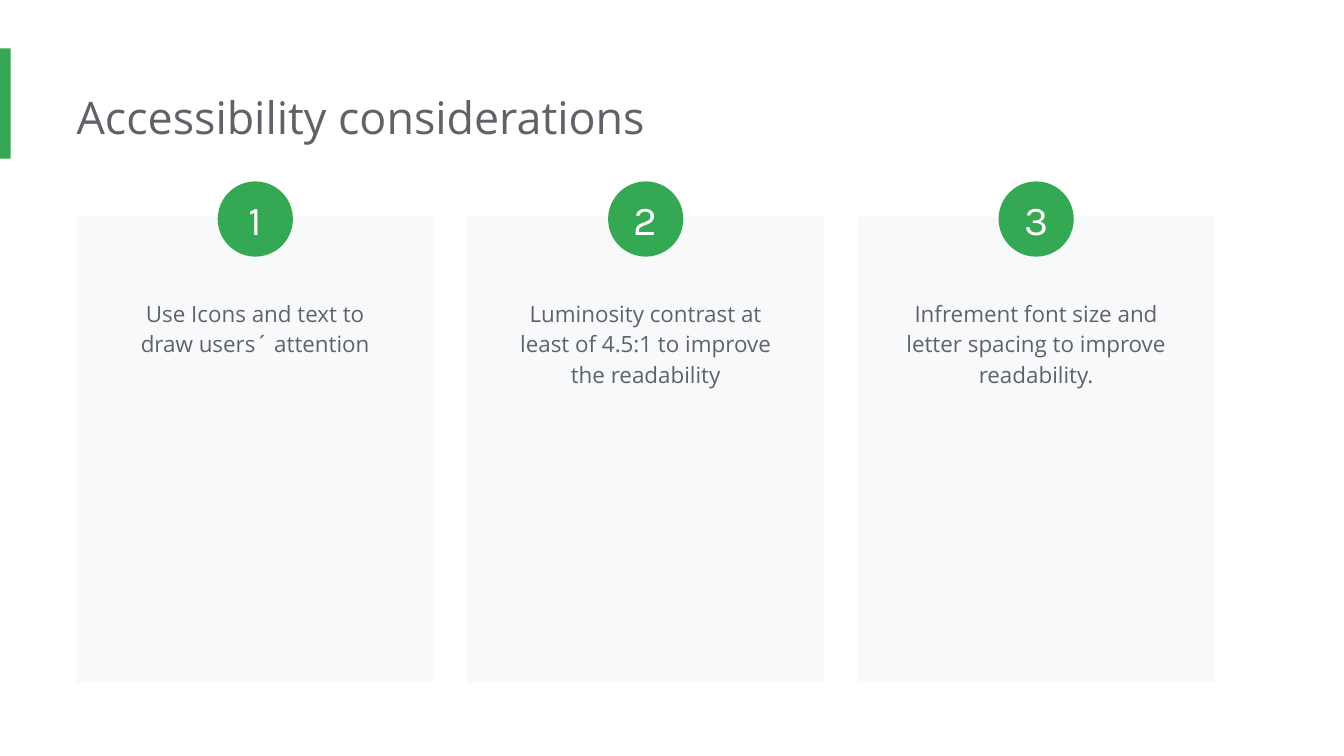
import pptx
import pptx.util
import pptx.dml.color
import pptx.enum.shapes
import pptx.enum.text

Inches = pptx.util.Inches
SHAPE = pptx.enum.shapes.MSO_SHAPE
ALIGN = pptx.enum.text.PP_ALIGN
ANCHOR = pptx.enum.text.MSO_ANCHOR
AUTO = pptx.enum.text.MSO_AUTO_SIZE

COLORS = {"accent": "34A853", "card": "F8F9FA", "text": "5F6368", "white": "FFFFFF"}

# Widescreen slide, in inches
SLIDE_W = 10
SLIDE_H = SLIDE_W * 9 / 16

# Card grid, in inches
LEFT, SPAN, CARD_W = 0.57, 8.47, 2.66
CARD_TOP, CARD_H = 1.61, 3.47
BADGE, BADGE_TOP = 0.56, 1.35
TEXT_W, TEXT_TOP, LINE_H = 2.24, 2.1, 0.23

# Card text and its number of lines
CARDS = [
    ("Use Icons and text to draw users´ attention", 2),
    ("Luminosity contrast at least of 4.5:1 to improve the readability", 3),
    ("Infrement font size and letter spacing to improve readability.", 3),
]


def rgb(name):
    return pptx.dml.color.RGBColor.from_string(COLORS[name])


def set_attrs(obj, values):
    for name, value in values.items():
        setattr(obj, name, value)


def write(sp, text, font, size, color, frame, para):
    tf = sp.text_frame
    set_attrs(tf, {"word_wrap": True, **frame})
    p = tf.paragraphs[0]
    set_attrs(p, para)
    r = p.add_run()
    r.text = text
    set_attrs(r.font, {"name": font, "size": pptx.util.Pt(size)})
    r.font.color.rgb = rgb(color)


def add_block(slide, kind, box, color):
    sp = slide.shapes.add_shape(kind, *map(Inches, box))
    sp.shadow.inherit = False
    sp.fill.solid()
    sp.fill.fore_color.rgb = rgb(color)
    sp.line.fill.background()
    return sp


def add_title(slide, text):
    sp = slide.shapes.title
    box = dict(left=LEFT, top=0.57, width=7.66, height=0.61)
    set_attrs(sp, {name: Inches(value) for name, value in box.items()})
    frame = {"margin_left": 0, "margin_right": Inches(0.1),
             "margin_top": Inches(0.1), "margin_bottom": Inches(0.1),
             "vertical_anchor": ANCHOR.TOP, "auto_size": AUTO.SHAPE_TO_FIT_TEXT}
    write(sp, text, "Open Sans", 24, "text", frame, {"alignment": ALIGN.LEFT})


def add_card_text(slide, center, text, lines):
    box = (center - TEXT_W / 2, TEXT_TOP, TEXT_W, 0.2 + lines * LINE_H)
    sp = slide.shapes.add_textbox(*map(Inches, box))
    frame = {f"margin_{side}": Inches(0.1) for side in ("left", "right", "top", "bottom")}
    frame["auto_size"] = AUTO.SHAPE_TO_FIT_TEXT
    write(sp, text, "Open Sans", 12, "text", frame,
          {"alignment": ALIGN.CENTER, "line_spacing": 1.15})


def add_badge(slide, center, number):
    box = (center - BADGE / 2, BADGE_TOP, BADGE, BADGE)
    sp = add_block(slide, SHAPE.OVAL, box, "accent")
    frame = {f"margin_{side}": 0 for side in ("left", "right", "top", "bottom")}
    frame["vertical_anchor"] = ANCHOR.MIDDLE
    write(sp, str(number), "Karla", 22, "white", frame, {"alignment": ALIGN.CENTER})


def main():
    prs = pptx.Presentation()
    set_attrs(prs, {"slide_width": Inches(SLIDE_W), "slide_height": Inches(SLIDE_H)})
    slide = prs.slides.add_slide(prs.slide_layouts[5])

    # Accent bar and title
    add_block(slide, SHAPE.RECTANGLE, (0, 0.36, 0.08, 0.82), "accent")
    add_title(slide, "Accessibility considerations")

    # Numbered cards
    pitch = (SPAN - CARD_W) / (len(CARDS) - 1)
    for i, (text, lines) in enumerate(CARDS):
        left = LEFT + i * pitch
        center = left + CARD_W / 2
        add_block(slide, SHAPE.RECTANGLE, (left, CARD_TOP, CARD_W, CARD_H), "card")
        add_card_text(slide, center, text, lines)
        add_badge(slide, center, i + 1)

    prs.save("out.pptx")


if __name__ == "__main__":
    main()
